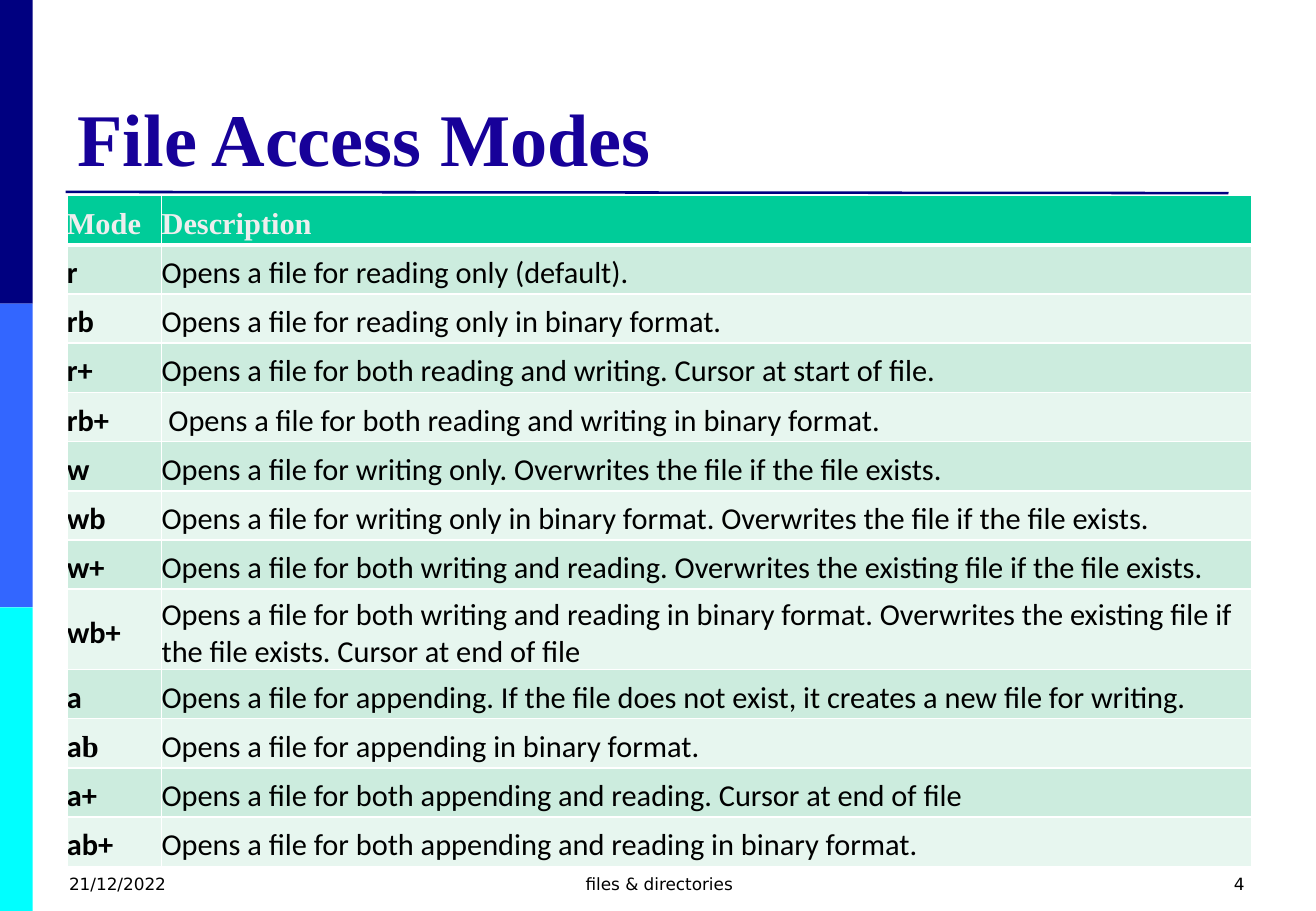
from lxml.etree import SubElement
from pptx import Presentation
from pptx.dml.color import RGBColor
from pptx.enum.shapes import MSO_CONNECTOR, MSO_SHAPE
from pptx.enum.text import MSO_ANCHOR, PP_ALIGN
from pptx.oxml.ns import qn
from pptx.util import Inches, Pt

NAVY = RGBColor(0x00, 0x00, 0x80)
BLUE = RGBColor(0x33, 0x66, 0xFF)
CYAN = RGBColor(0x00, 0xFF, 0xFF)
INDIGO = RGBColor(0x17, 0x01, 0x99)
GREEN = RGBColor(0x00, 0xCC, 0x99)
MINT = RGBColor(0xCC, 0xEC, 0xDE)
PALE = RGBColor(0xE7, 0xF6, 0xEF)
GREY = RGBColor(0xEE, 0xEE, 0xEE)
WHITE = RGBColor(0xFF, 0xFF, 0xFF)
BLACK = RGBColor(0x00, 0x00, 0x00)

SERIF, SANS, SMALL = "Times New Roman", "Calibri", "DejaVu Sans"

MODES = [
    ("Mode", "Description"),
    ("r", "Opens a file for reading only (default)."),
    ("rb", "Opens a file for reading only in binary format."),
    ("r+", "Opens a file for both reading and writing. Cursor at start of file."),
    ("rb+", " Opens a file for both reading and writing in binary format."),
    ("w", "Opens a file for writing only. Overwrites the file if the file exists."),
    ("wb", "Opens a file for writing only in binary format. "
           "Overwrites the file if the file exists."),
    ("w+", "Opens a file for both writing and reading. "
           "Overwrites the existing file if the file exists."),
    ("wb+", "Opens a file for both writing and reading in binary format. "
            "Overwrites the existing file if the file exists. Cursor at end of file"),
    ("a", "Opens a file for appending. "
          "If the file does not exist, it creates a new file for writing."),
    ("ab", "Opens a file for appending in binary format."),
    ("a+", "Opens a file for both appending and reading. Cursor at end of file"),
    ("ab+", "Opens a file for both appending and reading in binary format."),
]


class Deck:
    def __init__(self, wide, high):
        self.show = Presentation()
        self.show.slide_width = Inches(wide)
        self.show.slide_height = Inches(high)
        self.slide = self.show.slides.add_slide(self.show.slide_layouts[6])
        self.shapes = self.slide.shapes

    def style(self, font, name, size, color, bold=False):
        font.name, font.size, font.bold = name, Pt(size), bold
        font.color.rgb = color

    def bar(self, left, top, wide, high, color):
        bar = self.shapes.add_shape(MSO_SHAPE.RECTANGLE, *map(Inches, (left, top, wide, high)))
        bar.shadow.inherit = False
        bar.fill.solid()
        bar.fill.fore_color.rgb = color
        bar.line.fill.background()

    def rule(self, *ends):
        rule = self.shapes.add_connector(MSO_CONNECTOR.STRAIGHT, *map(Inches, ends))
        rule.line.color.rgb = NAVY
        rule.line.width = Pt(1.5)
        SubElement(rule._element.spPr, qn("a:effectLst"))

    def text(self, left, top, wide, high, words, *look,
             align=PP_ALIGN.LEFT, anchor=MSO_ANCHOR.TOP):
        box = self.shapes.add_textbox(*map(Inches, (left, top, wide, high)))
        frame = box.text_frame
        frame.word_wrap = True
        frame.vertical_anchor = anchor
        para = frame.paragraphs[0]
        para.text = words
        para.alignment = align
        self.style(para.font, *look)

    def edges(self, cell, base):
        """Draw white cell borders, the bottom one of the given width."""
        props = cell._tc.get_or_add_tcPr()
        for side, width in (("L", 1), ("R", 1), ("T", 1), ("B", base)):
            line = SubElement(props, qn(f"a:ln{side}"), w=str(Pt(width)))
            fill = SubElement(line, qn("a:solidFill"))
            SubElement(fill, qn("a:srgbClr"), val=str(WHITE))

    def cell(self, cell, words, fill, base, *look):
        self.edges(cell, base)
        cell.fill.solid()
        cell.fill.fore_color.rgb = fill
        cell.vertical_anchor = MSO_ANCHOR.MIDDLE
        cell.margin_left = cell.margin_bottom = 0
        cell.margin_top = cell.margin_right = Inches(0.06)
        para = cell.text_frame.paragraphs[0]
        if words == "ab":
            for part, name in (("a", SANS), ("b", SERIF)):
                run = para.add_run()
                run.text = part
                self.style(run.font, name, *look[1:])
        else:
            para.text = words
            self.style(para.font, *look)

    def table(self, left, top, widths, high, rows):
        frame = self.shapes.add_table(len(rows), len(widths), Inches(left), Inches(top),
                                      Inches(sum(widths)), Inches(high))
        grid = frame.table
        for col, width in zip(grid.columns, widths):
            col.width = Inches(width)
        for r, row in enumerate(rows):
            for c, words in enumerate(row):
                if r == 0:
                    look = (GREEN, 3, SERIF, 18, GREY, True)
                else:
                    look = (MINT if r % 2 else PALE, 1, SANS, 18, BLACK, c == 0)
                self.cell(grid.cell(r, c), words, *look)


def main():
    deck = Deck(10.83, 7.5)
    for i, color in enumerate((NAVY, BLUE, CYAN)):
        deck.bar(0, 2.5 * i, 0.27, 2.5, color)
    deck.rule(0.54, 1.58, 10.11, 1.59)
    deck.text(0.54, 0.3, 9.75, 1.24, "File Access Modes", SERIF, 44, INDIGO, True,
              anchor=MSO_ANCHOR.BOTTOM)
    deck.table(0.55, 1.61, (0.78, 8.97), 5.27, MODES)
    for left, wide, words, align in (
        (0.47, 2.53, "21/12/2022", PP_ALIGN.LEFT),
        (3.71, 3.43, "files & directories", PP_ALIGN.CENTER),
        (7.81, 2.53, "4", PP_ALIGN.RIGHT),
    ):
        deck.text(left, 7.14, wide, 0.36, words, SMALL, 10, BLACK, align=align)
    deck.show.save("out.pptx")


if __name__ == "__main__":
    main()
